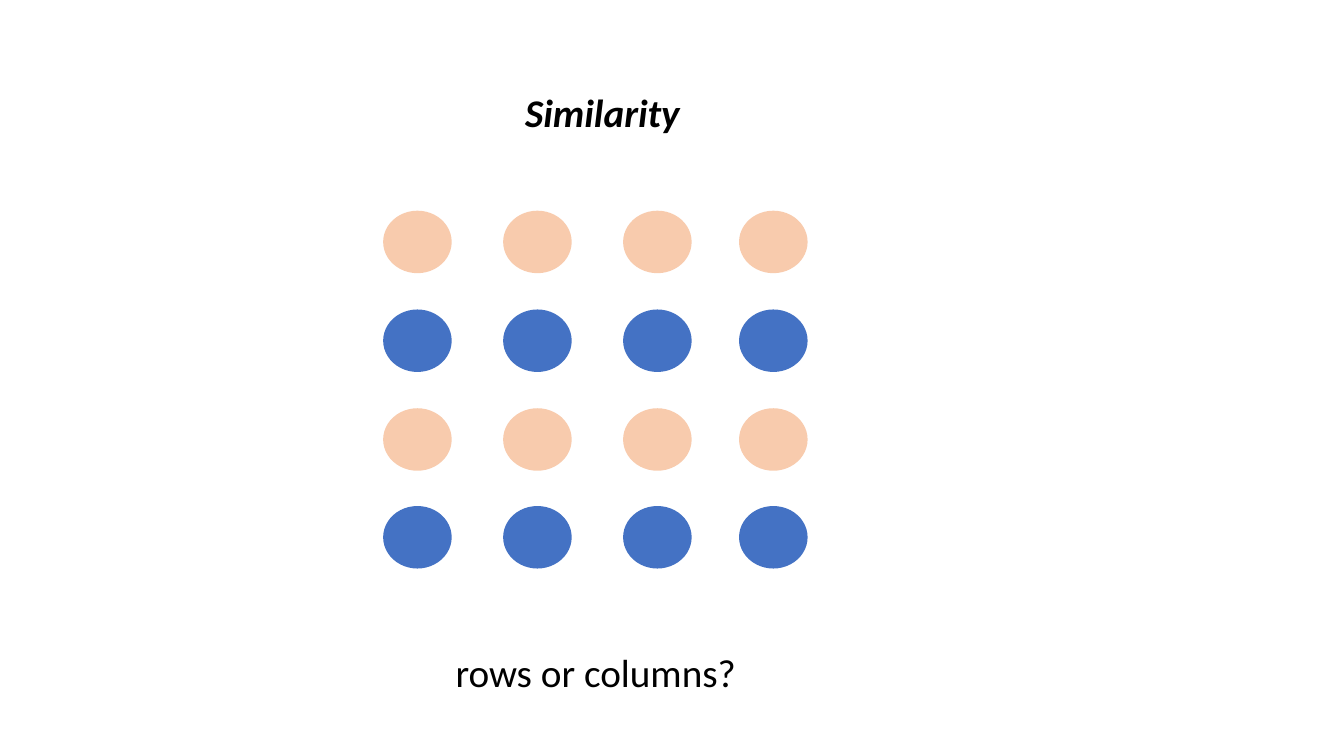
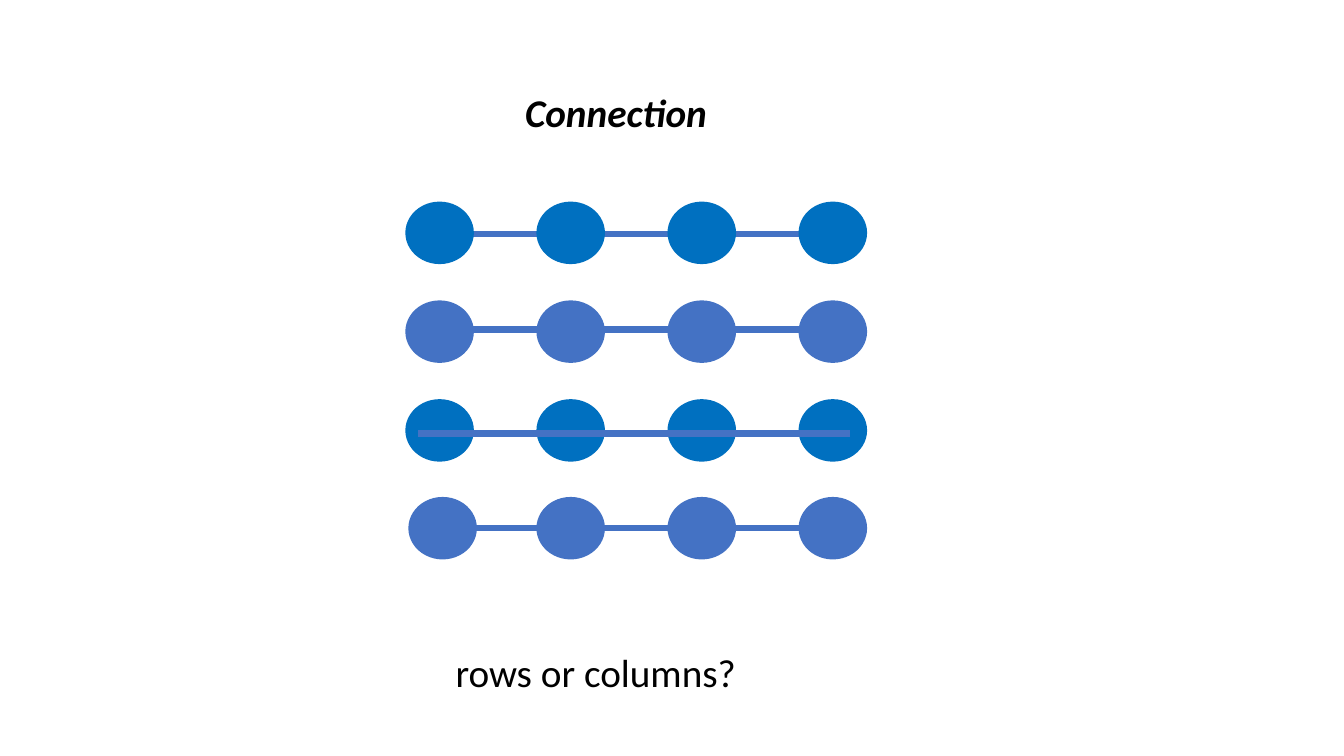
"""Build two slides on grouping by similarity and by connection."""
from lxml import etree
from pptx import Presentation
from pptx import util as u
from pptx.dml.color import RGBColor
from pptx.enum import shapes, text
from pptx.oxml.ns import qn

PX = u.Inches(1) // 100
BLACK = RGBColor(0x00, 0x00, 0x00)
PEACH = RGBColor(0xF8, 0xCB, 0xAD)
BLUE = RGBColor(0x44, 0x72, 0xC4)
DEEP_BLUE = RGBColor(0x00, 0x70, 0xC0)
FONT = "Calibri"
FONT_SIZE = u.Pt(28)
LINE_WIDTH = u.Pt(4.5)

DOT_WIDTH, DOT_HEIGHT = 68, 62
ROW_OFFSETS = (0, 98, 196, 293)
TITLE_BOX = (511, 83)
QUESTION = "rows or columns?"
QUESTION_BOX = (442, 638, 313, 57)

SLIDES = [
    {
        "title": "Similarity", "title_width": 175,
        "top": 209, "columns": [(380, 499, 618, 733)] * 4,
        "colors": (PEACH, BLUE),
        "lines_behind": [], "lines_in_front": [],
    },
    {
        "title": "Connection", "title_width": 203,
        "top": 200,
        "columns": [(402, 532, 662, 792)] * 3 + [(405, 532, 662, 792)],
        "colors": (DEEP_BLUE, BLUE),
        "lines_behind": [(405, 820, 232)],
        "lines_in_front": [(415, 843, 327), (415, 843, 430), (430, 843, 524)],
    },
]


def scale(*lengths):
    return [length * PX for length in lengths]


def add_label(slide, label, box, emphasis=False):
    frame = slide.shapes.add_textbox(*scale(*box)).text_frame
    frame.word_wrap = False
    frame.auto_size = text.MSO_AUTO_SIZE.SHAPE_TO_FIT_TEXT
    paragraph = frame.paragraphs[0]
    paragraph.text = label
    font = paragraph.font
    font.name, font.size = FONT, FONT_SIZE
    font.color.rgb = BLACK
    font.bold = font.italic = emphasis


def add_lines(slide, lines):
    for left, right, y in lines:
        connector = slide.shapes.add_connector(
            shapes.MSO_CONNECTOR.STRAIGHT, *scale(left, y, right, y))
        connector.line.color.rgb = BLUE
        connector.line.width = LINE_WIDTH
        etree.SubElement(connector._element.spPr, qn("a:effectLst"))


def add_dots(slide, top, columns, colors):
    for row, (offset, lefts) in enumerate(zip(ROW_OFFSETS, columns)):
        for left in lefts:
            dot = slide.shapes.add_shape(
                shapes.MSO_SHAPE.OVAL,
                *scale(left, top + offset, DOT_WIDTH, DOT_HEIGHT))
            dot.shadow.inherit = False
            dot.fill.solid()
            dot.fill.fore_color.rgb = colors[row % len(colors)]
            dot.line.fill.background()


def main():
    presentation = Presentation()
    presentation.slide_width, presentation.slide_height = scale(1333, 750)
    for content in SLIDES:
        slide = presentation.slides.add_slide(presentation.slide_layouts[6])
        add_lines(slide, content["lines_behind"])
        add_label(slide, content["title"],
                  (*TITLE_BOX, content["title_width"], 57), emphasis=True)
        add_dots(slide, content["top"], content["columns"], content["colors"])
        add_lines(slide, content["lines_in_front"])
        add_label(slide, QUESTION, QUESTION_BOX)
    presentation.save("out.pptx")


if __name__ == "__main__":
    main()
